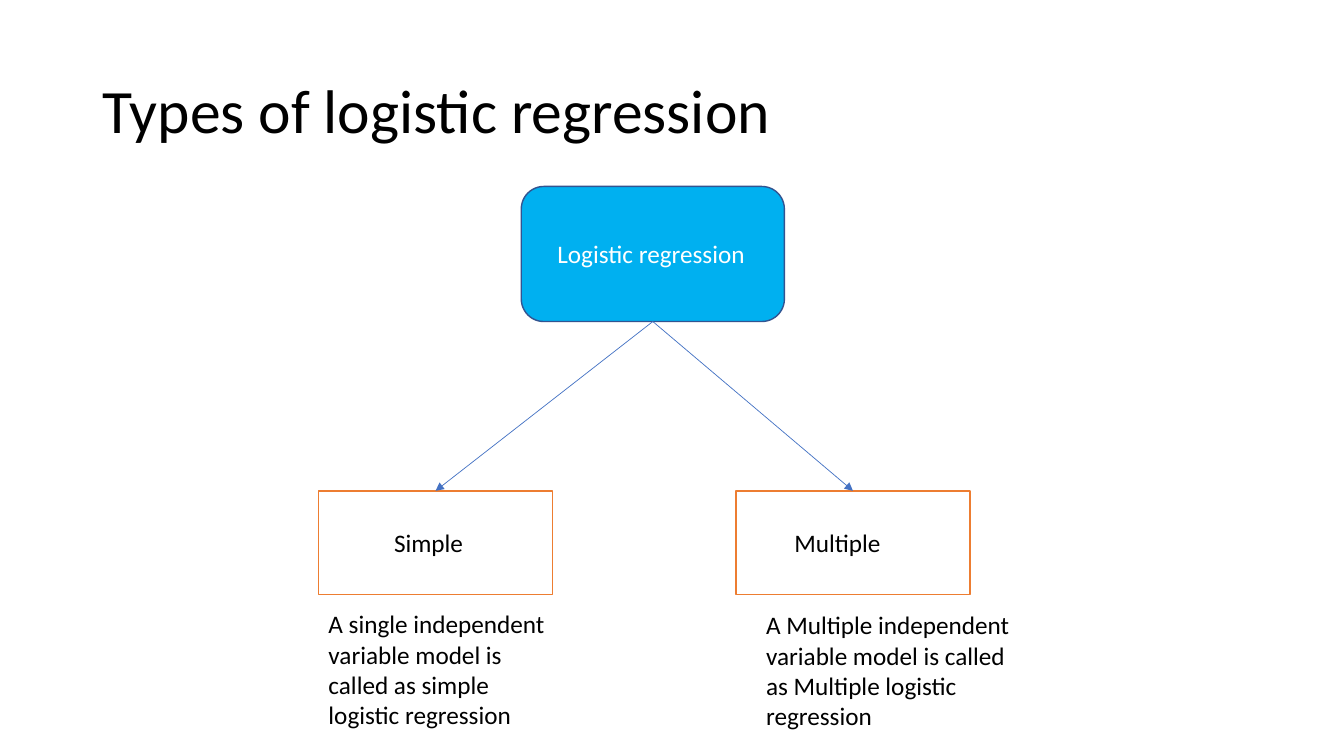
from pptx import Presentation
from pptx import util as u
from pptx.dml.color import RGBColor
from pptx.enum import shapes, text
from pptx.oxml.ns import qn
from lxml import etree

PX = u.Inches(1) // 100  # 100 px to the inch

BLACK = RGBColor(0x00, 0x00, 0x00)
WHITE = RGBColor(0xFF, 0xFF, 0xFF)
SKY = RGBColor(0x00, 0xB0, 0xF0)
NAVY = RGBColor(0x32, 0x54, 0x91)
ORANGE = RGBColor(0xED, 0x7D, 0x31)
BLUE = RGBColor(0x44, 0x72, 0xC4)


def px(*lengths):
    return [u.Emu(length * PX) for length in lengths]


def write(frame, wording, size=18, color=BLACK, font="Calibri", spacing=None):
    paragraph = frame.paragraphs[0]
    paragraph.line_spacing = spacing
    run = paragraph.add_run()
    run.text = wording
    run.font.name = font
    run.font.size = u.Pt(size)
    run.font.color.rgb = color


class TreeSlide:
    def __init__(self, deck, line_width=1, arrow_width=0.5):
        self.shapes = deck.slides.add_slide(deck.slide_layouts[6]).shapes
        self.line_width = u.Pt(line_width)
        self.arrow_width = u.Pt(arrow_width)

    def box(self, area, kind, fill, line):
        node = self.shapes.add_shape(kind, *px(*area))
        node.shadow.inherit = False
        node.fill.solid()
        node.fill.fore_color.rgb = fill
        node.line.color.rgb = line
        node.line.width = self.line_width
        return node

    def label(self, area, wording, anchor=text.MSO_ANCHOR.TOP, **style):
        frame = self.shapes.add_textbox(*px(*area)).text_frame
        frame.word_wrap = True
        frame.vertical_anchor = anchor
        write(frame, wording, **style)

    def arrow(self, parent, child):
        branch = self.shapes.add_connector(shapes.MSO_CONNECTOR.STRAIGHT, 0, 0, 0, 0)
        branch.begin_connect(parent, 2)  # bottom middle
        branch.end_connect(child, 0)  # top middle
        branch.line.color.rgb = BLUE
        branch.line.width = self.arrow_width
        etree.SubElement(branch.line._get_or_add_ln(), qn("a:tailEnd"), type="triangle")
        etree.SubElement(branch._element.spPr, qn("a:effectLst"))


def main():
    deck = Presentation()
    deck.slide_width, deck.slide_height = px(1333, 750)
    slide = TreeSlide(deck)

    # Title
    slide.label((92, 40, 1150, 145), "Types of logistic regression",
                anchor=text.MSO_ANCHOR.MIDDLE, size=44, spacing=0.9)

    # Root of the tree
    root = slide.box((517, 185, 261, 134), shapes.MSO_SHAPE.ROUNDED_RECTANGLE, SKY, NAVY)
    slide.label((543, 232, 208, 40), "Logistic regression", color=WHITE)

    # Types: box left, name left, name, description area, description
    types = [
        (316, 381, "Simple", (316, 599, 244, 131),
         "A single independent variable model is called as simple logistic regression"),
        (730, 778, "Multiple", (750, 600, 267, 131),
         "A Multiple independent variable model is called as Multiple logistic regression"),
    ]
    for box_left, name_left, name, description_area, description in types:
        branch_box = slide.box((box_left, 487, 232, 103),
                               shapes.MSO_SHAPE.RECTANGLE, WHITE, ORANGE)
        slide.label((name_left, 518, 208, 40), name)
        slide.label(description_area, description)
        slide.arrow(root, branch_box)

    deck.save("out.pptx")


if __name__ == "__main__":
    main()
